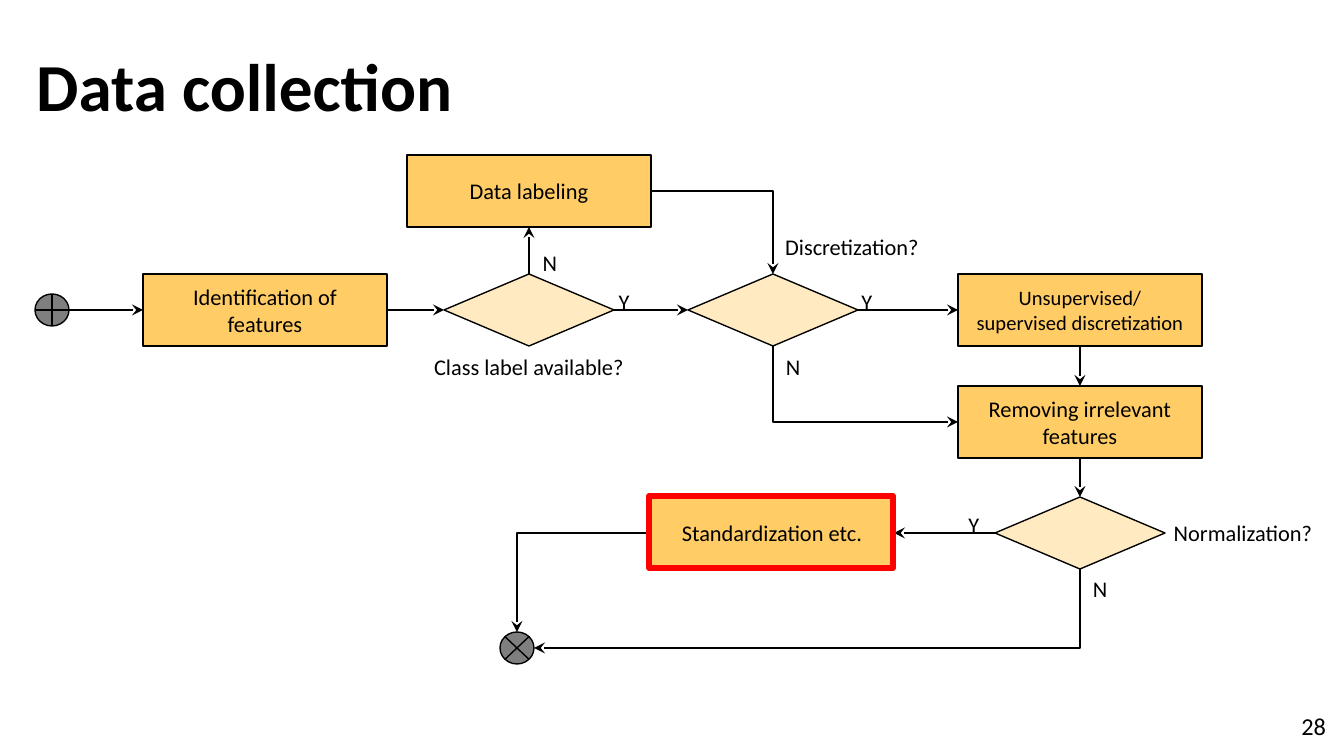
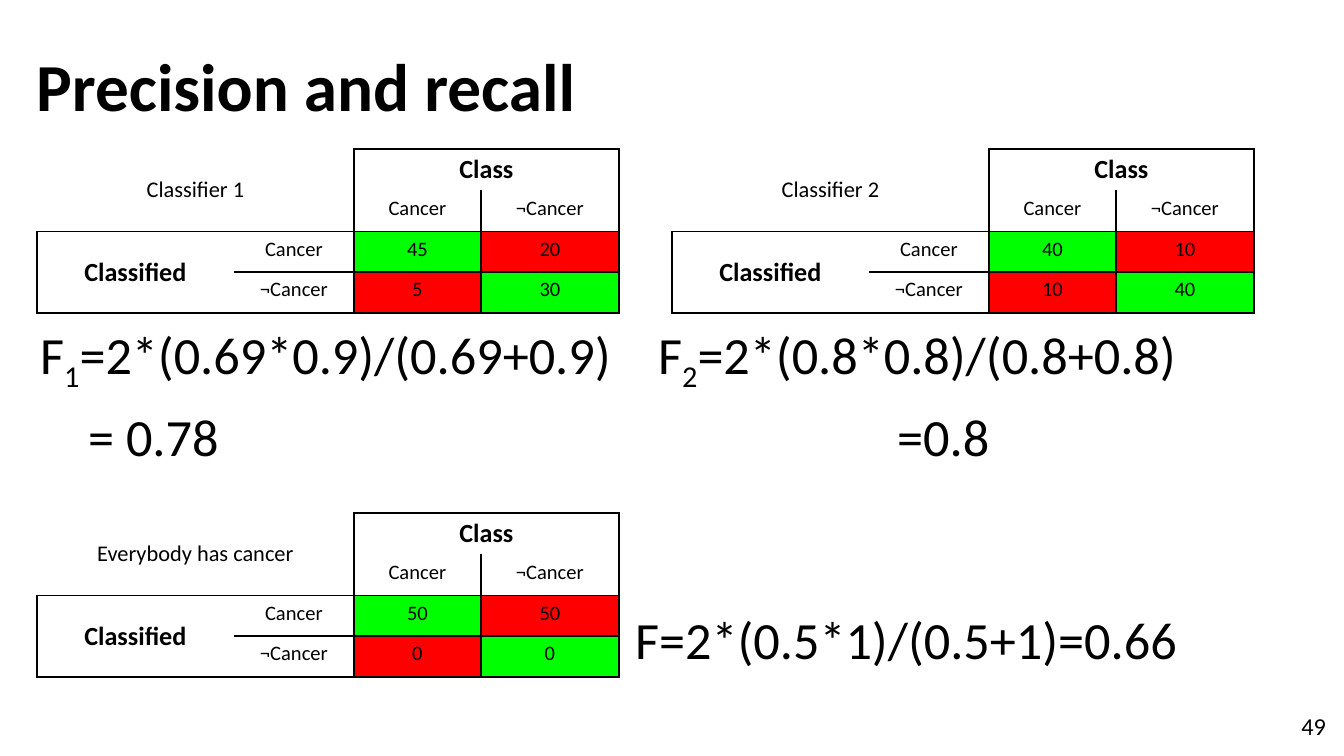
import pptx
import pptx.dml.color
import pptx.enum.shapes
import pptx.enum.text
import pptx.oxml.ns
import pptx.util
from lxml import etree

RGB = pptx.dml.color.RGBColor
SHAPE = pptx.enum.shapes.MSO_SHAPE
CONNECTOR = pptx.enum.shapes.MSO_CONNECTOR
ALIGN = pptx.enum.text.PP_ALIGN
ANCHOR = pptx.enum.text.MSO_ANCHOR
Pt = pptx.util.Pt
qn = pptx.oxml.ns.qn

SLIDE_W, SLIDE_H = 1344, 756
EMU_PER_PX = 9144000 / SLIDE_W

BLACK = RGB(0x00, 0x00, 0x00)
AMBER = RGB(0xFF, 0xCC, 0x66)
GRAY = RGB(0x7F, 0x7F, 0x7F)
RED = RGB(0xFF, 0x00, 0x00)
GREEN = RGB(0x00, 0xFF, 0x00)
FONT = "Calibri"

# Slide 1: kind -> preset, size, fill, opacity in percent
KINDS = {
    "process": (SHAPE.FLOWCHART_PROCESS, (244, 72), AMBER, 100),
    "decision": (SHAPE.FLOWCHART_DECISION, (170, 72), AMBER, 40),
    "start": (SHAPE.FLOWCHART_OR, (34, 32), GRAY, 100),
    "end": (SHAPE.FLOWCHART_SUMMING_JUNCTION, (34, 32), GRAY, 100),
}
# step: kind, centre, text, text size
STEPS = {
    "start": ("start", (52, 310), "", 12),
    "identify": ("process", (265, 310), "Identification of features", 12),
    "label": ("process", (529, 191), "Data labeling", 12),
    "labelled?": ("decision", (529, 310), "", 12),
    "discrete?": ("decision", (773, 310), "", 12),
    "discretize": ("process", (1080, 310), "Unsupervised/ supervised discretization", 11),
    "remove": ("process", (1080, 422), "Removing irrelevant features", 12),
    "normal?": ("decision", (1080, 533), "", 12),
    "standardize": ("process", (772, 533), "Standardization etc.", 12),
    "end": ("end", (517, 648), "", 12),
}
FLOWS = [
    ("start", "right", "identify", "left"),
    ("identify", "right", "labelled?", "left"),
    ("labelled?", "top", "label", "bottom"),
    ("labelled?", "right", "discrete?", "left"),
    ("label", "right", "discrete?", "top"),
    ("discrete?", "right", "discretize", "left"),
    ("discrete?", "bottom", "remove", "left"),
    ("discretize", "bottom", "remove", "top"),
    ("remove", "bottom", "normal?", "top"),
    ("normal?", "left", "standardize", "right"),
    ("normal?", "bottom", "end", "right"),
    ("standardize", "left", "end", "top"),
]
# text, centre x, top, width
LABELS = [
    ("Class label available?", 529, 347, 265),
    ("Discretization?", 852, 227, 191),
    ("Normalization?", 1243, 513, 191),
    ("N", 550, 243, 96),
    ("Y", 624, 282, 96),
    ("Y", 867, 282, 96),
    ("N", 793, 347, 96),
    ("Y", 974, 505, 96),
    ("N", 1100, 568, 96),
]
SIDES = {"top": (0, -1), "left": (-1, 0), "bottom": (0, 1), "right": (1, 0)}

# Slide 2: name, left, top, counts by row
MATRICES = [
    ("Classifier 1", 37, 149, ((45, 20), (5, 30))),
    ("Classifier 2", 672, 149, ((40, 10), (10, 40))),
    ("Everybody has cancer", 37, 513, ((50, 50), (0, 0))),
]
COLUMNS, ROW_H = (197, 120, 127, 138), 41
BORDERS = (
    ("RB", "R", "LTR", "TR"),
    ("B", "RB", "LRB", "LRB"),
    ("LTB", "TRB", "LTRB", "LTRB"),
    ("LB", "TRB", "LTRB", "LTRB"),
)
SUB = -25000
F_SCORES = [
    ([("F", 0), ("1", SUB), ("=2*(0.69*0.9)/(0.69+0.9)\tF", 0), ("2", SUB),
      ("=2*(0.8*0.8)/(0.8+0.8)", 0)], (618,)),
    ([("\t= 0.78\t=0.8", 0)], (48, 857)),
]


def px(value):
    return pptx.util.Emu(round(value * EMU_PER_PX))


def style(font, **values):
    for key, value in {"name": FONT, "bold": False, **values}.items():
        setattr(font, key, value)
    font.color.rgb = BLACK


def write(frame, text, size, align=ALIGN.CENTER, anchor=ANCHOR.TOP, bold=False):
    frame.word_wrap = True
    frame.vertical_anchor = anchor
    line = frame.paragraphs[0]
    line.alignment = align
    run = line.add_run()
    run.text = text
    style(run.font, size=Pt(size), bold=bold)


def text_box(slide, left, top, width, height):
    return slide.shapes.add_textbox(px(left), px(top), px(width), px(height)).text_frame


def add_slide(deck, title, number):
    slide = deck.slides.add_slide(deck.slide_layouts[6])
    write(text_box(slide, 23, 34, 1220, 101), title, 36, ALIGN.LEFT, ANCHOR.MIDDLE, True)
    write(text_box(slide, 1258, 697, 81, 58), str(number), 13, ALIGN.RIGHT, ANCHOR.MIDDLE)
    return slide


def add_step(slide, kind, center, text, size):
    preset, (width, height), color, opacity = KINDS[kind]
    step = slide.shapes.add_shape(preset, px(center[0] - width / 2),
                                  px(center[1] - height / 2), px(width), px(height))
    step.shadow.inherit = False
    step.fill.solid()
    step.fill.fore_color.rgb = color
    if opacity < 100:
        tint = step.fill._xPr.find(qn("a:solidFill"))[0]
        etree.SubElement(tint, qn("a:alpha"), val=str(opacity * 1000))
    step.line.color.rgb = BLACK
    step.line.width = Pt(0.75)
    if text:
        write(step.text_frame, text, size, anchor=ANCHOR.MIDDLE)
    return step


def port(name, side):
    """Point in px where a flow meets the given side of a step."""
    kind, (x, y), _, _ = STEPS[name]
    width, height = KINDS[kind][1]
    dx, dy = SIDES[side]
    return x + dx * width / 2, y + dy * height / 2


def add_flow(slide, steps, source, out_side, target, in_side):
    (x0, y0), (x1, y1) = port(source, out_side), port(target, in_side)
    bent = x0 != x1 and y0 != y1
    flow = slide.shapes.add_connector(CONNECTOR.ELBOW if bent else CONNECTOR.STRAIGHT,
                                      px(x0), px(y0), px(x1), px(y1))
    properties = flow._element.spPr
    if bent:
        properties.find(qn("a:prstGeom")).set("prst", "bentConnector2")
    if bent and out_side == "bottom":
        # a bend that starts downwards is the sideways bend turned a quarter
        width, height = abs(x1 - x0), y1 - y0
        flow.left, flow.top = px((x0 + x1 - height) / 2), px((y0 + y1 - width) / 2)
        flow.width, flow.height = px(height), px(width)
        rightward = x1 > x0
        properties.xfrm.set("rot", str((270 if rightward else 90) * 60000))
        properties.xfrm.set("flipH", "1" if rightward else "0")
    flow.line.color.rgb = BLACK
    flow.line.width = Pt(0.75)
    etree.SubElement(flow.line._get_or_add_ln(), qn("a:tailEnd"), type="stealth")
    etree.SubElement(properties, qn("a:effectLst"))
    glue = flow._element.nvCxnSpPr.cNvCxnSpPr
    for tag, name, side in (("a:stCxn", source, out_side), ("a:endCxn", target, in_side)):
        # round steps have eight connection sites, the others four
        spacing = 2 if STEPS[name][0] in ("start", "end") else 1
        site = list(SIDES).index(side) * spacing
        etree.SubElement(glue, qn(tag), id=str(steps[name].shape_id), idx=str(site))


def add_matrix(slide, name, left, top, counts):
    table = slide.shapes.add_table(4, 4, px(left), px(top), px(sum(COLUMNS)),
                                   px(4 * ROW_H)).table
    table.first_row = table.horz_banding = False
    for column, width in zip(table.columns, COLUMNS):
        column.width = px(width)
    for row in table.rows:
        row.height = px(ROW_H)
    texts = (
        (name, "", "Class", ""),
        ("", "", "Cancer", "¬Cancer"),
        ("Classified", "Cancer", *counts[0]),
        ("", "¬Cancer", *counts[1]),
    )
    for r, row in enumerate(texts):
        for c, text in enumerate(row):
            cell = table.cell(r, c)
            cell.margin_top = cell.margin_bottom = px(5)
            add_borders(cell, BORDERS[r][c])
            if r > 1 and c > 1:
                cell.fill.solid()
                cell.fill.fore_color.rgb = GREEN if r == c else RED
            else:
                cell.fill.background()
            heading = text in ("Class", "Classified")
            size = 14 if heading else 12 if text == name else 11
            line = cell.text_frame.paragraphs[0]
            line.alignment = ALIGN.CENTER
            style(line.font, size=Pt(size), bold=heading)
            if text != "":
                run = line.add_run()
                run.text = str(text)
                style(run.font, size=Pt(size), bold=heading)
            if heading or text == name:
                cell.vertical_anchor = ANCHOR.MIDDLE
    for first, last in (((0, 0), (1, 1)), ((0, 2), (0, 3)), ((2, 0), (3, 0))):
        table.cell(*first).merge(table.cell(*last))


def add_borders(cell, sides):
    properties = cell._tc.get_or_add_tcPr()
    for side in "LRTB":
        border = etree.SubElement(properties, qn("a:ln" + side), w=str(Pt(1)))
        if side in sides:
            fill = etree.SubElement(border, qn("a:solidFill"))
            etree.SubElement(fill, qn("a:srgbClr"), val=str(BLACK))
        else:
            etree.SubElement(border, qn("a:noFill"))


def add_f_scores(slide):
    frame = text_box(slide, 27, 316, 1220, 160)
    frame.word_wrap = True
    for index, (parts, stops) in enumerate(F_SCORES):
        line = frame.add_paragraph() if index else frame.paragraphs[0]
        if index:
            line.space_before = Pt(5.6)
        tabs = etree.SubElement(line._p.get_or_add_pPr(), qn("a:tabLst"))
        for stop in stops:
            etree.SubElement(tabs, qn("a:tab"), pos=str(px(stop)), algn="l")
        for text, baseline in parts:
            run = line.add_run()
            run.text = text
            style(run.font, size=Pt(28))
            if baseline:
                run._r.get_or_add_rPr().set("baseline", str(baseline))


def build_data_collection(deck):
    slide = add_slide(deck, "Data collection", 28)
    steps = {name: add_step(slide, *step) for name, step in STEPS.items()}
    for flow in FLOWS:
        add_flow(slide, steps, *flow)
    for text, center, top, width in LABELS:
        write(text_box(slide, center - width / 2, top, width, 32), text, 12)
    highlight = slide.shapes.add_shape(SHAPE.FLOWCHART_PROCESS,
                                       px(649), px(496), px(244), px(72))
    highlight.shadow.inherit = False
    highlight.fill.background()
    highlight.line.color.rgb = RED
    highlight.line.width = Pt(3)


def build_precision_and_recall(deck):
    slide = add_slide(deck, "Precision and recall", 49)
    add_f_scores(slide)
    for matrix in MATRICES:
        add_matrix(slide, *matrix)
    write(text_box(slide, 622, 601, 575, 58), "F=2*(0.5*1)/(0.5+1)=0.66", 28, ALIGN.LEFT)


def main():
    deck = pptx.Presentation()
    deck.slide_width, deck.slide_height = px(SLIDE_W), px(SLIDE_H)
    build_data_collection(deck)
    build_precision_and_recall(deck)
    deck.save("out.pptx")


if __name__ == "__main__":
    main()
